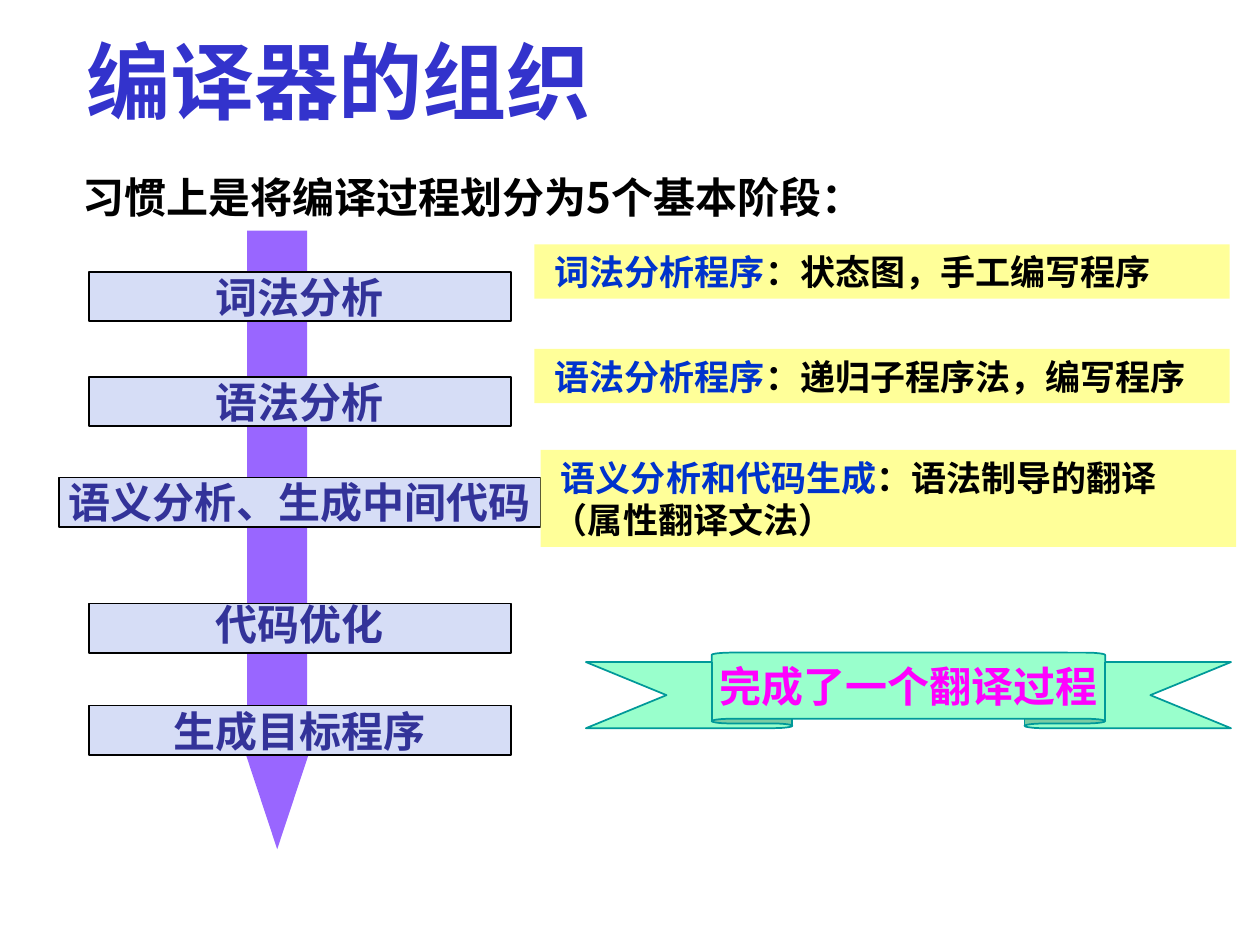
from dataclasses import dataclass

from lxml import etree
from pptx import Presentation
from pptx import util as u
from pptx.dml.color import RGBColor
from pptx.enum import shapes, text
from pptx.oxml import ns

COLORS = {
    "arrow": "9966FF", "stage": "D6DDF6", "stage_text": "333399",
    "note": "FFFF99", "term": "0033CC", "black": "000000",
    "ribbon": "99FFCC", "ribbon_line": "009999", "ribbon_text": "FF00FF",
    "title": "3333CC",
}
SANS = "Noto Sans CJK SC"
STAGE_CENTER, STAGE_HEIGHT = 2.38, 0.39


@dataclass(frozen=True)
class Stage:
    label: str
    top: float
    width: float = 3.35
    line_spacing: float = 1.0


@dataclass(frozen=True)
class Note:
    term: str
    detail: str
    left: float
    top: float
    height: float = 0.43


STAGES = [
    Stage("词法分析", 2.16),
    Stage("语法分析", 2.99),
    Stage("语义分析、生成中间代码", 3.79, width=3.82),
    Stage("代码优化", 4.79, line_spacing=0.8),
    Stage("生成目标程序", 5.6),
]
NOTES = [
    Note("词法分析程序", "：状态图，手工编写程序", 4.24, 1.94),
    Note("语法分析程序", "：递归子程序法，编写程序", 4.24, 2.77),
    Note("语义分析和代码生成", "：语法制导的翻译（属性翻译文法）", 4.29, 3.57, 0.77),
]


def rgb(name: str) -> RGBColor:
    return RGBColor.from_string(COLORS[name])


def add_box(slide, kind, left: float, top: float, width: float, height: float,
            fill: str, line: str | None = None):
    shape = slide.shapes.add_shape(
        kind, u.Inches(left), u.Inches(top), u.Inches(width), u.Inches(height))
    shape.shadow.inherit = False
    shape.fill.solid()
    shape.fill.fore_color.rgb = rgb(fill)
    if line:
        shape.line.color.rgb = rgb(line)
        shape.line.width = u.Pt(1)
    else:
        shape.line.fill.background()
    return shape


def set_font(paragraph, size: int, color: str, name: str = SANS) -> None:
    """Apply a bold font to Latin and East Asian characters alike."""
    font = paragraph.font
    font.size, font.bold, font.name = u.Pt(size), True, name
    font.color.rgb = rgb(color)
    properties = paragraph._p.pPr.find(ns.qn("a:defRPr"))
    etree.SubElement(properties, ns.qn("a:ea")).set("typeface", name)


def write(shape, words: str, size: int, color: str, name: str = SANS,
          align=text.PP_ALIGN.CENTER, anchor=text.MSO_ANCHOR.MIDDLE,
          wrap: bool = False):
    frame = shape.text_frame
    frame.word_wrap, frame.vertical_anchor = wrap, anchor
    paragraph = frame.paragraphs[0]
    paragraph.text, paragraph.alignment = words, align
    set_font(paragraph, size, color, name)
    return paragraph


def add_stage(slide, stage: Stage) -> None:
    shape = add_box(slide, shapes.MSO_SHAPE.RECTANGLE,
                    STAGE_CENTER - stage.width / 2, stage.top,
                    stage.width, STAGE_HEIGHT, "stage", "black")
    paragraph = write(shape, stage.label, 24, "stage_text")
    paragraph.line_spacing = stage.line_spacing


def add_note(slide, note: Note) -> None:
    shape = add_box(slide, shapes.MSO_SHAPE.RECTANGLE, note.left, note.top,
                    5.52, note.height, "note")
    paragraph = write(shape, " ", 20, "black", align=text.PP_ALIGN.LEFT,
                      anchor=text.MSO_ANCHOR.TOP, wrap=True)
    for words, color in ((note.term, "term"), (note.detail, "black")):
        run = paragraph.add_run()
        run.text = words
        run.font.color.rgb = rgb(color)


def add_text(slide, left: float, top: float, width: float, height: float,
             words: str, size: int, color: str, **style) -> None:
    box = slide.shapes.add_textbox(
        u.Inches(left), u.Inches(top), u.Inches(width), u.Inches(height))
    write(box, words, size, color, wrap=True, **style)


def main() -> None:
    presentation = Presentation()
    presentation.slide_width = u.Inches(10)
    presentation.slide_height = u.Inches(7.5)
    slide = presentation.slides.add_slide(presentation.slide_layouts[6])

    arrow = add_box(slide, shapes.MSO_SHAPE.DOWN_ARROW,
                    1.84, 1.83, 0.72, 4.91, "arrow")
    arrow.adjustments[0], arrow.adjustments[1] = 0.66, 1.51
    for stage in STAGES:
        add_stage(slide, stage)
    for note in NOTES:
        add_note(slide, note)

    ribbon = add_box(slide, shapes.MSO_SHAPE.UP_RIBBON,
                     4.65, 5.18, 5.12, 0.6, "ribbon", "ribbon_line")
    ribbon.adjustments[0], ribbon.adjustments[1] = 0.125, 0.61
    write(ribbon, "完成了一个翻译过程", 24, "ribbon_text", "Roboto")

    add_text(slide, 0.12, 1.31, 7.27, 0.5,
             "习惯上是将编译过程划分为5个基本阶段：", 24, "black",
             anchor=text.MSO_ANCHOR.TOP)
    add_text(slide, 0.59, 0.28, 7.48, 0.8, "编译器的组织", 48, "title",
             name="Noto Sans CJK JP", align=text.PP_ALIGN.LEFT,
             anchor=text.MSO_ANCHOR.BOTTOM)
    presentation.save("out.pptx")


if __name__ == "__main__":
    main()
